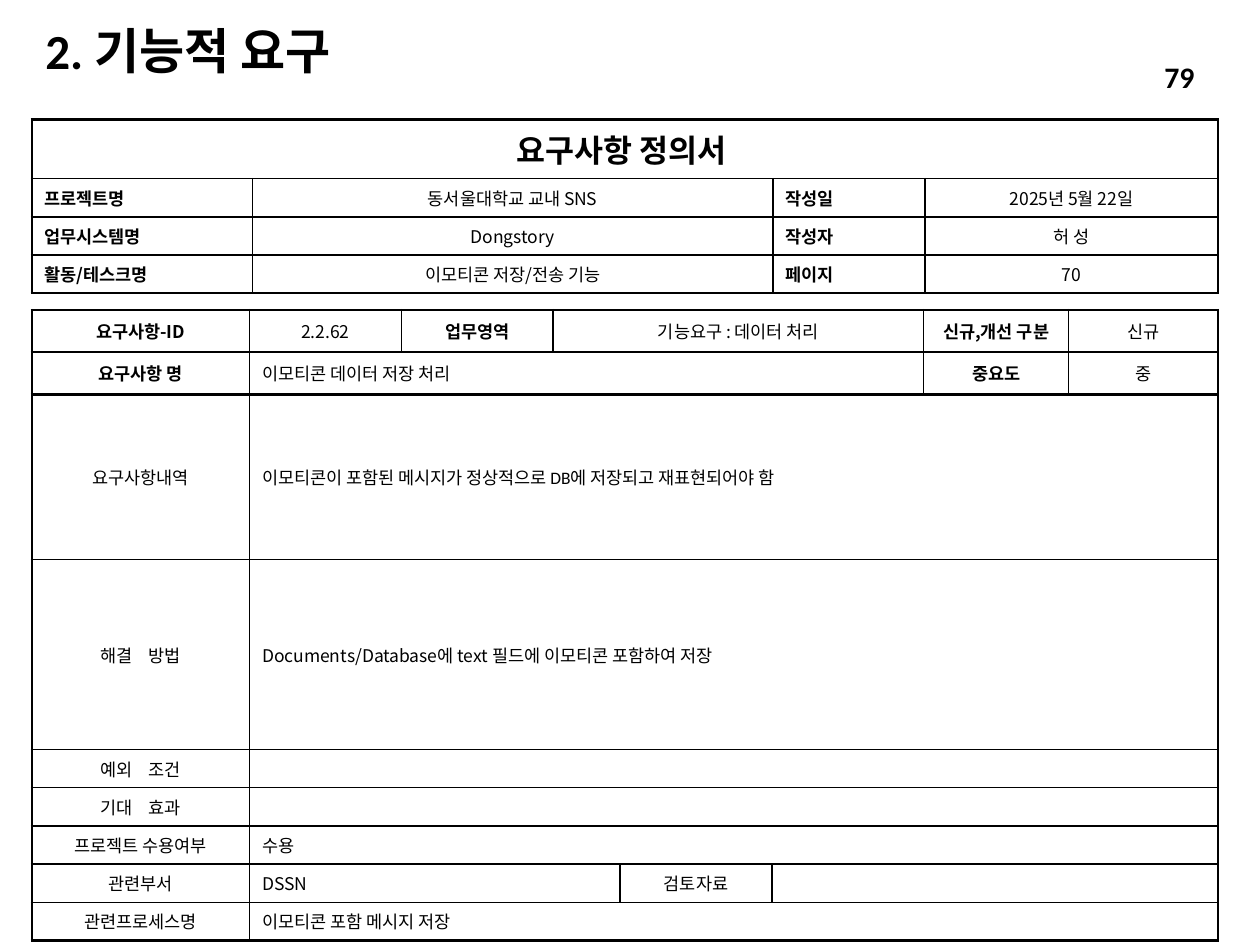
from lxml.etree import SubElement
from pptx import Presentation
from pptx.dml.color import RGBColor
from pptx.enum.text import MSO_ANCHOR as Anchor, PP_ALIGN as Align
from pptx.oxml.ns import qn
from pptx.util import Cm, Pt

THEME = {
    "ink": "000000",
    "latin": "Calibri",
    "korean": "Noto Sans CJK KR",
    "title": 28, "number": 17, "form": 18, "body": 10,
    "thin": 1, "thick": 1.5,
}

TITLE = "2. 기능적 요구"
PAGE_NUMBER = "79"

# Cell roles
FORM = dict(size=THEME["form"], bold=True, align=Align.CENTER)
FIELD = dict(bold=True, align=Align.JUSTIFY, anchor=Anchor.TOP)
ENTRY = dict(align=Align.CENTER, anchor=Anchor.TOP)
HEAD = dict(bold=True, align=Align.CENTER)
VALUE = dict(align=Align.CENTER)
NOTE = dict(align=Align.LEFT)
MIXED = dict(align=Align.LEFT, latin=THEME["latin"])

# Each cell: text, columns it covers, role
DOCUMENT_ROWS = [
    [("요구사항 정의서 ", 4, FORM)],
    [("프로젝트명", 1, FIELD), ("동서울대학교 교내 SNS", 1, ENTRY),
     ("작성일", 1, FIELD), ("2025년 5월 22일", 1, ENTRY)],
    [("업무시스템명 ", 1, FIELD), ("Dongstory", 1, ENTRY),
     ("작성자", 1, FIELD), ("허 성", 1, ENTRY)],
    [("활동/테스크명", 1, FIELD), ("이모티콘 저장/전송 기능", 1, ENTRY),
     ("페이지", 1, FIELD), ("70", 1, ENTRY)],
]
REQUIREMENT_ROWS = [
    [("요구사항-ID", 1, HEAD), ("2.2.62", 1, VALUE), ("업무영역", 1, HEAD),
     ("기능요구 : 데이터 처리", 3, VALUE), ("신규,개선 구분", 1, HEAD), ("신규", 1, VALUE)],
    [("요구사항 명", 1, HEAD), ("이모티콘 데이터 저장 처리", 5, NOTE),
     ("중요도", 1, HEAD), ("중", 1, VALUE)],
    [("요구사항내역", 1, VALUE),
     ("이모티콘이 포함된 메시지가 정상적으로 DB에 저장되고 재표현되어야 함", 7, MIXED)],
    [("해결    방법", 1, VALUE),
     ("Documents/Database에 text 필드에 이모티콘 포함하여 저장", 7, NOTE)],
    [("예외    조건", 1, VALUE), ("", 7, NOTE)],
    [("기대    효과", 1, VALUE), ("", 7, NOTE)],
    [("프로젝트 수용여부", 1, VALUE), ("수용", 7, NOTE)],
    [("관련부서", 1, VALUE), ("DSSN", 3, NOTE), ("검토자료", 1, VALUE), ("", 3, NOTE)],
    [("관련프로세스명", 1, VALUE), ("이모티콘 포함 메시지 저장", 7, NOTE)],
]

LINE_ROW = 0.77
TABLES = [
    dict(rows=REQUIREMENT_ROWS, left=0.64, top=6.25, heavy_rules={1, 2},
         widths=[4.39, 3.06, 3.06, 1.35, 3.06, 3.06, 2.92, 3.02],
         heights=[0.85, 0.85, 3.33, 3.83] + [LINE_ROW] * 5),
    dict(rows=DOCUMENT_ROWS, left=0.64, top=2.41, heavy_rules=set(),
         widths=[4.45, 10.49, 3.07, 5.9],
         heights=[1.19] + [LINE_ROW] * 3),
]


def write(frame, text, *, size=THEME["body"], bold=False, align=Align.LEFT,
          latin=THEME["korean"], anchor=Anchor.MIDDLE, line_spacing=None):
    """Put one formatted paragraph into a text frame."""
    frame.word_wrap = True
    frame.vertical_anchor = anchor
    paragraph = frame.paragraphs[0]
    paragraph.alignment = align
    paragraph.line_spacing = line_spacing
    if not text:
        SubElement(paragraph._p, qn("a:endParaRPr"), sz=str(size * 100))
        return
    run = paragraph.add_run()
    run.text = text
    font = run.font
    font.size, font.bold, font.name = Pt(size), bold, latin
    font.color.rgb = RGBColor.from_string(THEME["ink"])
    SubElement(run._r.get_or_add_rPr(), qn("a:ea"), typeface=THEME["korean"])


def draw_borders(cell, **weights):
    """Draw the given sides (L, R, T, B) in points."""
    properties = cell._tc.get_or_add_tcPr()
    for side, weight in weights.items():
        line = SubElement(properties, qn(f"a:ln{side}"), w=str(Pt(weight)))
        SubElement(SubElement(line, qn("a:solidFill")), qn("a:srgbClr"), val=THEME["ink"])


def add_form(slide, rows, left, top, widths, heights, heavy_rules):
    """Add a ruled form; heavy_rules are inner row edges drawn thick."""
    form = slide.shapes.add_table(len(heights), len(widths), Cm(left), Cm(top),
                                  Cm(sum(widths)), Cm(sum(heights))).table
    form.first_row = form.horz_banding = False
    for column, width in zip(form.columns, widths):
        column.width = Cm(width)
    for row, height in zip(form.rows, heights):
        row.height = Cm(height)

    thick_rows = heavy_rules | {0, len(heights)}
    thick_columns = {0, len(widths)}

    def weight(edge, thick_edges):
        return THEME["thick"] if edge in thick_edges else THEME["thin"]

    for r, cells in enumerate(rows):
        start = 0
        for text, span, role in cells:
            end = start + span
            first = form.cell(r, start)
            if span > 1:
                first.merge(form.cell(r, end - 1))
            for c in range(start, end):
                sides = {}
                if c == start:
                    sides["L"] = weight(start, thick_columns)
                if c in (start, end - 1):
                    sides["R"] = weight(end, thick_columns)
                sides["T"] = weight(r, thick_rows)
                sides["B"] = weight(r + 1, thick_rows)
                draw_borders(form.cell(r, c), **sides)
                form.cell(r, c).fill.background()
            style = dict(role)
            first.vertical_anchor = style.pop("anchor", Anchor.MIDDLE)
            write(first.text_frame, text, anchor=None, **style)
            start = end


def main():
    deck = Presentation()
    deck.slide_width, deck.slide_height = Cm(25.4), Cm(19.05)
    slide = deck.slides.add_slide(deck.slide_layouts[5])

    title = slide.shapes.title
    title.left, title.top, title.width, title.height = Cm(0.66), Cm(0.53), Cm(13.61), Cm(1.12)
    write(title.text_frame, TITLE, size=THEME["title"], bold=True,
          latin=THEME["latin"], line_spacing=0.9)

    for layout in TABLES:
        add_form(slide, **layout)

    number = slide.shapes.add_textbox(Cm(20.22), Cm(1.04), Cm(4.11), Cm(1.02))
    write(number.text_frame, PAGE_NUMBER, size=THEME["number"], bold=True,
          align=Align.RIGHT, latin=THEME["latin"])
    deck.save("out.pptx")


if __name__ == "__main__":
    main()
